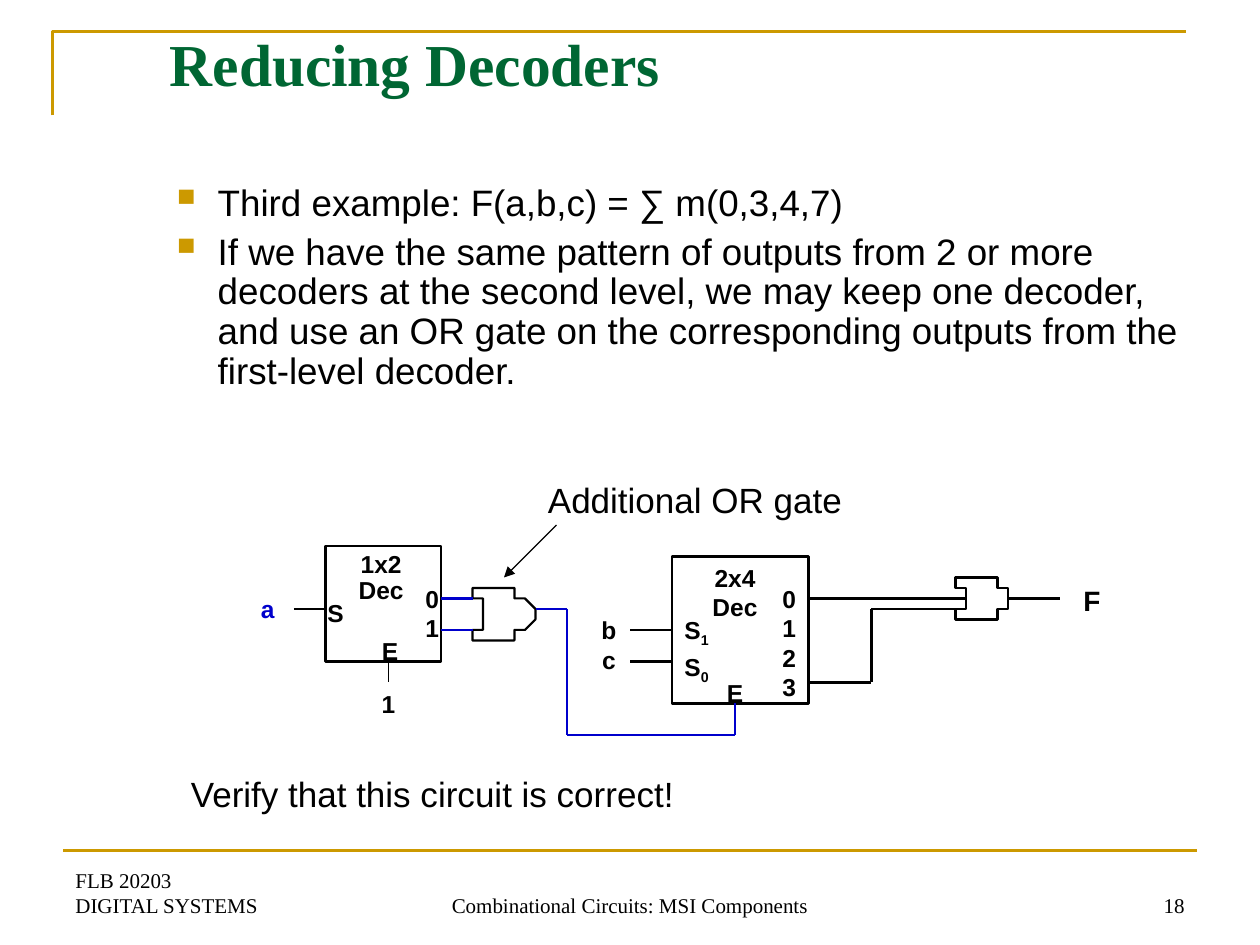
import itertools

import pptx
import pptx.dml.color
import pptx.enum.shapes
import pptx.enum.text
import pptx.oxml.ns
import pptx.util
from lxml import etree

# The slide is a grid of 120 columns by 90 rows, twelve to the inch
CELL = 1 / 12
GOLD, GREEN, BLACK, BLUE = "CC9900", "006633", "000000", "0000CC"
ALIGN = pptx.enum.text.PP_ALIGN
ANCHOR = pptx.enum.text.MSO_ANCHOR


def color(value):
    return pptx.dml.color.RGBColor.from_string(value)


def grid(cells):
    return pptx.util.Inches(cells * CELL)


def add_xml(parent, tag, **attributes):
    return etree.SubElement(parent, pptx.oxml.ns.qn(tag), attributes)


def set_bullet(paragraph):
    properties = paragraph._p.get_or_add_pPr()
    indent = pptx.util.Inches(0.38)
    properties.set("marL", str(indent))
    properties.set("indent", str(-indent))
    add_xml(add_xml(properties, "a:buClr"), "a:srgbClr", val=GOLD)
    add_xml(properties, "a:buSzPct", val="120000")
    add_xml(properties, "a:buChar", char="▪")


def add_text(slide, box, text, size=14, font="Arial", fill=BLACK, bold=False,
             align=ALIGN.LEFT, anchor=ANCHOR.TOP, spacing=None, before=0, bullet=False):
    """One paragraph per line of text; a part between underscores is a subscript."""
    frame = slide.shapes.add_textbox(*map(grid, box)).text_frame
    frame.word_wrap = True
    frame.vertical_anchor = anchor
    for number, line in enumerate(text.split("\n")):
        paragraph = frame.add_paragraph() if number else frame.paragraphs[0]
        paragraph.alignment = align
        if spacing:
            paragraph.line_spacing = spacing
        if number and before:
            paragraph.space_before = pptx.util.Pt(before)
        if bullet:
            set_bullet(paragraph)
        for part, words in enumerate(line.split("_")):
            if not words:
                continue
            run = paragraph.add_run()
            run.text = words
            run.font.size = pptx.util.Pt(size)
            run.font.name = font
            run.font.bold = bold
            run.font.color.rgb = color(fill)
            if part % 2:
                run.font._element.set("baseline", "-25000")


def set_outline(shape, stroke, width):
    shape.line.color.rgb = color(stroke)
    shape.line.width = pptx.util.Pt(width)


def add_wire(slide, points, stroke=BLACK, width=1.25, arrow=False):
    for start, end in itertools.pairwise(points):
        wire = slide.shapes.add_connector(
            pptx.enum.shapes.MSO_CONNECTOR.STRAIGHT, *map(grid, (*start, *end)))
        set_outline(wire, stroke, width)
        if arrow:
            add_xml(wire.line._get_or_add_ln(), "a:tailEnd", type="triangle")
        add_xml(wire._element.spPr, "a:effectLst")


def add_outline(slide, points, stroke, width, close):
    builder = slide.shapes.build_freeform(*points[0], scale=pptx.util.Inches(CELL))
    builder.add_line_segments(points[1:], close=close)
    shape = builder.convert_to_shape()
    shape.shadow.inherit = False
    shape.fill.background()
    set_outline(shape, stroke, width)


def curve(a, b, c, d, steps=10):
    """Points of a cubic curve, without its start."""
    for t in (step / steps for step in range(1, steps + 1)):
        u = 1 - t
        yield tuple(u**3 * p + 3 * u * u * t * q + 3 * u * t * t * r + t**3 * s
                    for p, q, r, s in zip(a, b, c, d))


def add_or_gate(slide, box):
    left, top, width, height = box
    upper = [(0.36, 0),
             *curve((0.36, 0), (0.54, 0.04), (0.74, 0.08), (0.84, 0.18)),
             *curve((0.84, 0.18), (0.94, 0.28), (0.98, 0.41), (1, 0.5))]
    lower = [(x, 1 - y) for x, y in reversed(upper[:-1])]
    back = [*curve((0, 1), (0.02, 0.92), (0.14, 0.66), (0.14, 0.5)),
            *curve((0.14, 0.5), (0.14, 0.34), (0.08, 0.17), (0, 0))]
    points = [(left + x * width, top + y * height)
              for x, y in [(0, 0), *upper, *lower, (0, 1), *back[:-1]]]
    add_outline(slide, points, BLACK, 1.25, close=True)


def add_decoder(slide, box, labels):
    left, top, _, _ = box
    shape = slide.shapes.add_shape(
        pptx.enum.shapes.MSO_SHAPE.RECTANGLE, *map(grid, box))
    shape.shadow.inherit = False
    shape.fill.background()
    set_outline(shape, BLACK, 1.5)
    for (x, y, width, height), text, style in labels:
        add_text(slide, (left + x, top + y, width, height), text, bold=True, **style)


def add_frame(slide, box):
    left, top, width, height = box
    corner = [(left, top + 8), (left, top), (left + width, top)]
    add_outline(slide, corner, GOLD, 1.5, close=False)
    bottom = top + height
    add_wire(slide, [(left + 1, bottom), (left + width + 1, bottom)], GOLD, 1.5)


def add_footer(slide, box):
    left, top, width, height = box
    parts = [(0, 28, "FLB 20203\nDIGITAL SYSTEMS", ALIGN.LEFT),
             (35, 38, "Combinational Circuits: MSI Components", ALIGN.CENTER),
             (width - 28, 28, "18", ALIGN.RIGHT)]
    for x, columns, text, align in parts:
        add_text(slide, (left + x, top, columns, height), text, size=12,
                 font="Times New Roman", align=align, anchor=ANCHOR.BOTTOM)


def add_circuit(slide, box):
    left, top, _, _ = box

    def place(x, y, *size):
        return (left + x, top + y, *size)

    center, right = {"align": ALIGN.CENTER}, {"align": ALIGN.RIGHT}

    # Decoders with their pin names
    add_decoder(slide, place(8, 0, 11, 11), [
        ((0.3, 0, 10, 6), "1x2\nDec", {**center, "spacing": 0.9}),
        ((-1, 4.4, 5.6, 4), "S", {}),
        ((7, 3, 5, 6.8), "0\n1", right),
        ((4, 8, 4.3, 4), "E", center)])
    add_decoder(slide, place(41, 1, 13, 14), [
        ((1, 0, 10, 6.8), "2x4\nDec", center),
        ((0, 5, 5.6, 8), "S_1_\nS_0_", {"before": 1.8}),
        ((8, 2, 5, 12.5), "0\n1\n2\n3", right),
        ((4, 11, 4, 4), "E", center)])

    # Gates
    add_or_gate(slide, place(22, 4, 6, 5))
    add_or_gate(slide, place(68, 3, 5, 4))

    # Wires
    wires = [
        ([(5, 6), (8, 6)], BLACK, 1.25),
        ([(14, 11), (14, 13)], BLACK, 0.75),
        ([(19, 5), (22, 5)], BLUE, 1.25),
        ([(19, 8), (22, 8)], BLUE, 1.25),
        ([(28, 6), (31, 6), (31, 18), (47, 18), (47, 15)], BLUE, 1.25),
        ([(37, 8), (41, 8)], BLACK, 1.25),
        ([(37, 11), (41, 11)], BLACK, 1.25),
        ([(54, 5), (69, 5)], BLACK, 1.25),
        ([(54, 13), (60, 13), (60, 6), (68.7, 6)], BLACK, 1.25),
        ([(73, 5), (78, 5)], BLACK, 1.25)]
    for points, stroke, width in wires:
        add_wire(slide, [place(*point) for point in points], stroke, width)

    # Inputs and output
    add_text(slide, place(0, 4, 5, 4), "a", fill=BLUE, bold=True, **center)
    add_text(slide, place(11, 13, 6, 4), "1", bold=True, **center)
    add_text(slide, place(33, 6, 4, 6.8), "b\nc", bold=True, **center)
    add_text(slide, place(79, 3, 4, 4.4), "F", size=16, bold=True)

    # Callout for the added gate
    add_wire(slide, [place(30, -2), place(25, 3)], width=0.75, arrow=True)
    add_text(slide, place(28, -7, 38, 5.3), "Additional OR gate", size=20)


def main():
    presentation = pptx.Presentation()
    presentation.slide_width, presentation.slide_height = grid(120), grid(90)
    slide = presentation.slides.add_slide(presentation.slide_layouts[6])

    add_frame(slide, (5, 3, 108, 78))
    add_footer(slide, (6, 82, 108, 6))
    add_text(slide, (15, 2, 102, 15), "Reducing Decoders", size=34,
             font="Times New Roman", fill=GREEN, bold=True)
    add_text(slide, (15, 17, 102, 26),
             "Third example: F(a,b,c) = ∑ m(0,3,4,7)\n"
             "If we have the same pattern of outputs from 2 or more decoders at the "
             "second level, we may keep one decoder, and use an OR gate on the "
             "corresponding outputs from the first-level decoder.",
             size=21, spacing=0.9, before=5.2, bullet=True)
    add_circuit(slide, (23, 52, 83, 18))
    add_text(slide, (17, 73, 50, 5.3), "Verify that this circuit is correct!", size=20)

    presentation.save("out.pptx")


if __name__ == "__main__":
    main()
